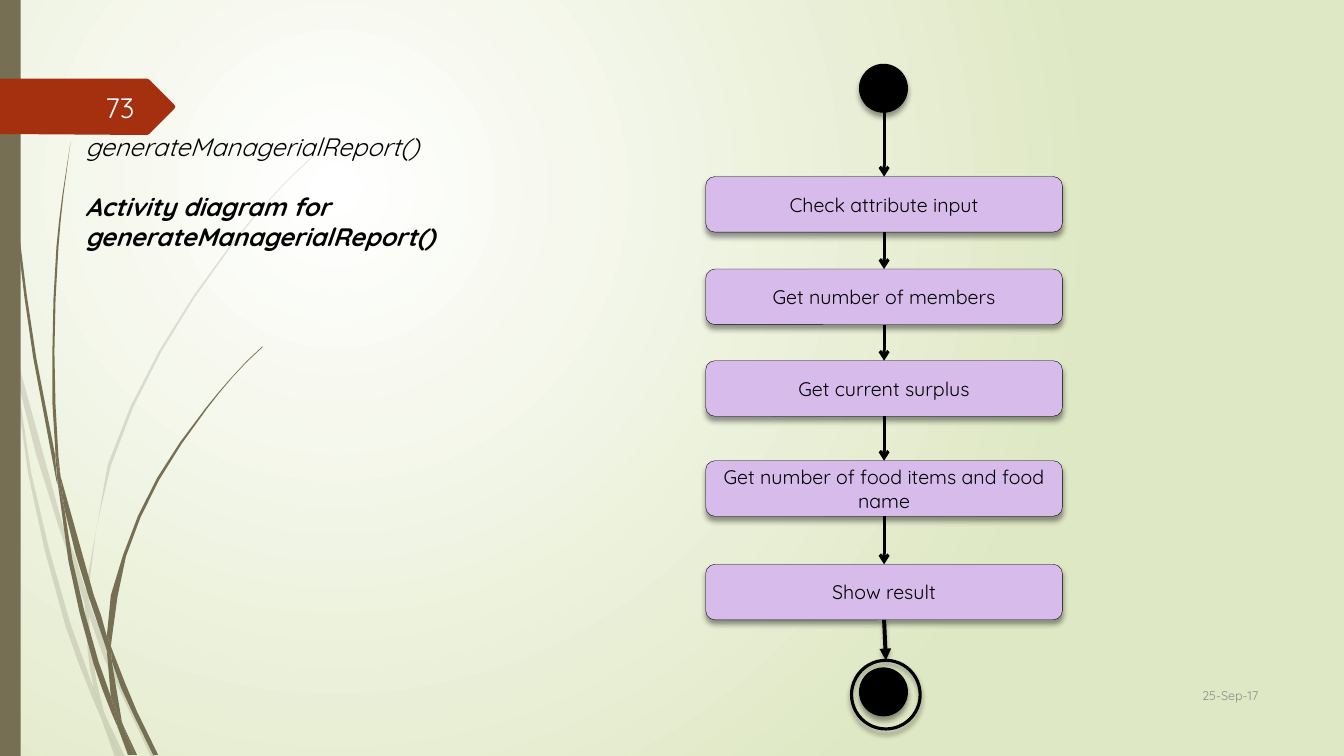
import math
from itertools import pairwise
from typing import NamedTuple

from lxml import etree
from pptx import Presentation
from pptx.dml.color import RGBColor
from pptx.enum.shapes import MSO_CONNECTOR, MSO_SHAPE
from pptx.enum.text import MSO_ANCHOR, PP_ALIGN
from pptx.oxml.ns import qn
from pptx.util import Cm, Pt

RECTANGLE = MSO_SHAPE.RECTANGLE
ACTION = MSO_SHAPE.FLOWCHART_ALTERNATE_PROCESS
CIRCLE = MSO_SHAPE.FLOWCHART_CONNECTOR
STRAIGHT = MSO_CONNECTOR.STRAIGHT
MIDDLE = MSO_ANCHOR.MIDDLE
LEFT, CENTER, RIGHT = PP_ALIGN.LEFT, PP_ALIGN.CENTER, PP_ALIGN.RIGHT

FONT = "Quicksand"
OLIVE, RED, LILAC, BLACK = "766F54", "A53010", "D6BBEB", "000000"
OUTLINE_UNIT = Cm(0.0254)
LONG_CHORD = 25
AXIS = 22.28
ACTION_WIDTH, ACTION_HEIGHT = 8.99, 1.4
DOT_SIZE, RING_SIZE = 1.19, 1.73

Point = tuple[float, float]


class Action(NamedTuple):
    text: str
    top: float


class Box(NamedTuple):
    left: float
    top: float
    width: float
    height: float


class Shadow(NamedTuple):
    alpha: int
    blur: float
    distance: float


class Wisps(NamedTuple):
    alpha: int
    outlines: list[list[Point]]


ACTIONS = [
    Action("Check attribute input", 4.45),
    Action("Get number of members", 6.78),
    Action("Get current surplus", 9.09),
    Action("Get number of food items and food name", 11.61),
    Action("Show result", 14.22),
]
START_DOT = Box(21.67, 1.63, DOT_SIZE, DOT_SIZE)
END_DOT = Box(21.67, 16.84, DOT_SIZE, DOT_SIZE)
END_RING = Box(21.46, 16.64, RING_SIZE, RING_SIZE)
NODE_SHADOW = Shadow(40, 4, 3)
ARROW_SHADOW = Shadow(25, 3, 2)

PALE_WISPS = Wisps(20, [
    [(11, 350), (9, 322), (0, 282), (0, 299), (10, 344)],
    [(58, 522), (84, 599), (85, 586), (62, 520), (14, 345), (17, 376)],
    [(92, 607), (88, 596), (88, 610), (123, 694), (150, 751), (155, 751), (127, 692)],
    [(119, 751), (124, 751), (105, 711)],
    [(93, 683), (70, 619), (31, 469), (17, 376), (11, 350), (28, 470), (65, 621),
     (92, 693), (101, 714), (99, 707)],
    [(84, 599), (87, 646), (93, 683), (96, 692), (105, 711), (103, 706), (91, 646),
     (88, 610), (88, 608)],
    [(88, 584), (110, 462), (160, 349), (229, 245), (268, 198), (290, 175), (312, 154),
     (312, 153), (289, 175), (268, 197), (228, 244), (158, 348), (107, 461), (85, 584),
     (85, 586), (88, 596)],
    [(101, 714), (114, 751), (119, 751)],
    [(88, 608), (88, 596), (85, 586), (84, 599)],
    [(96, 692), (93, 683), (99, 707), (101, 714), (119, 751), (105, 711)],
])
DARK_WISPS = Wisps(100, [
    [(7, 110), (17, 233), (33, 355), (56, 477), (57, 481), (55, 457), (55, 453),
     (36, 355), (19, 232), (8, 109), (5, 48), (4, 0), (3, 0), (4, 48)],
    [(88, 592), (106, 645), (106, 631), (93, 590), (60, 472), (64, 505)],
    [(113, 649), (110, 641), (111, 656), (132, 708), (152, 749), (157, 749), (136, 706)],
    [(110, 691), (98, 657), (72, 556), (64, 505), (57, 477), (68, 557), (93, 659),
     (111, 708), (117, 722), (116, 717)],
    [(60, 472), (58, 453), (54, 349), (58, 245), (63, 193), (70, 141), (62, 193),
     (56, 245), (52, 349), (55, 449)],
    [(133, 749), (136, 749), (122, 719)],
    [(57, 477), (64, 505), (60, 472), (55, 449), (55, 453)],
    [(111, 633), (125, 552), (158, 476), (205, 406), (231, 374), (245, 359), (261, 344),
     (260, 344), (245, 358), (231, 373), (204, 405), (156, 474), (122, 551), (106, 631),
     (110, 641)],
    [(117, 722), (127, 749), (131, 749)],
    [(106, 645), (110, 691), (116, 706), (122, 719), (121, 716), (111, 656), (109, 651)],
    [(106, 645), (109, 651), (111, 656), (110, 641), (106, 631)],
    [(116, 706), (110, 691), (116, 717), (117, 722), (130, 749), (133, 749), (122, 719)],
])
NUMBER_TAG = [(0, 78), (146, 78), (148, 79), (173, 104), (174, 106), (173, 108),
              (148, 133), (146, 134), (0, 133)]


def color(value: str) -> RGBColor:
    return RGBColor.from_string(value)


def add_xml(parent, tag: str, **attributes):
    values = {name: str(value) for name, value in attributes.items()}
    return etree.SubElement(parent, qn(tag), values)


def set_fill(shape, value: str, alpha: int = 100) -> None:
    shape.fill.solid()
    shape.fill.fore_color.rgb = color(value)
    if alpha < 100:
        add_xml(shape.element.spPr.find(f".//{qn('a:srgbClr')}"), "a:alpha", val=alpha * 1000)


def set_line(shape, width: float) -> None:
    shape.line.color.rgb = color(BLACK)
    shape.line.width = Pt(width)


def set_shadow(shape, shadow: Shadow | None) -> None:
    effects = add_xml(shape.element.spPr, "a:effectLst")
    if shadow:
        outer = add_xml(effects, "a:outerShdw", blurRad=Pt(shadow.blur),
                        dist=Pt(shadow.distance), dir=5400000, rotWithShape=0)
        black = add_xml(outer, "a:srgbClr", val=BLACK)
        add_xml(black, "a:alpha", val=shadow.alpha * 1000)


def tangent(before: Point, point: Point, after: Point) -> Point | None:
    first, second = math.dist(before, point), math.dist(point, after)
    ax, ay = (point[0] - before[0]) / first, (point[1] - before[1]) / first
    bx, by = (after[0] - point[0]) / second, (after[1] - point[1]) / second
    if min(first, second) < 5 or ax * bx + ay * by < 0.8:
        return None
    length = math.hypot(ax + bx, ay + by)
    return (ax + bx) / length, (ay + by) / length


def round_outline(points: list[Point]) -> list[Point]:
    following = points[1:] + points[:1]
    tangents = [tangent(points[i - 1], point, following[i]) for i, point in enumerate(points)]
    result = []
    for i, (start, end) in enumerate(zip(points, following)):
        result.append(start)
        leaving, arriving = tangents[i], tangents[(i + 1) % len(points)]
        chord = math.dist(start, end)
        if chord > LONG_CHORD and leaving and arriving:
            middle = [(start[k] + end[k]) / 2 + (leaving[k] - arriving[k]) * chord / 8
                      for k in (0, 1)]
            result.append((middle[0], middle[1]))
    return [(x * OUTLINE_UNIT, y * OUTLINE_UNIT) for x, y in result]


def draw_outline(slide, points: list[Point], fill: str, alpha: int = 100) -> None:
    curve = round_outline(points)
    builder = slide.shapes.build_freeform(*curve[0])
    builder.add_line_segments(curve[1:], close=True)
    shape = builder.convert_to_shape()
    set_fill(shape, fill, alpha)
    shape.line.fill.background()
    shape.shadow.inherit = False


def draw_node(slide, kind, box: Box, fill: str | None, width: float):
    shape = slide.shapes.add_shape(kind, *map(Cm, box))
    if fill:
        set_fill(shape, fill)
    else:
        shape.fill.background()
    set_line(shape, width)
    set_shadow(shape, NODE_SHADOW)
    return shape


def draw_arrow(slide, start: Point, end: Point, width: float = 2.25,
               head: str = "arrow", shadow: Shadow | None = None) -> None:
    connector = slide.shapes.add_connector(STRAIGHT, *map(Cm, start + end))
    set_line(connector, width)
    add_xml(connector.element.spPr.find(qn("a:ln")), "a:tailEnd", type=head)
    set_shadow(connector, shadow)


def format_paragraph(paragraph, text: str, size: float, value: str, alignment) -> None:
    paragraph.text = text
    paragraph.alignment = alignment
    paragraph.font.name = FONT
    paragraph.font.size = Pt(size)
    paragraph.font.color.rgb = color(value)


def add_label(slide, box: Box, text: str, size: float, value: str, alignment=RIGHT):
    frame = slide.shapes.add_textbox(*map(Cm, box)).text_frame
    frame.word_wrap = True
    format_paragraph(frame.paragraphs[0], text, size, value, alignment)
    return frame


def draw_background(slide) -> None:
    fill = slide.background.fill
    fill.gradient()
    for stop, value in zip(fill.gradient_stops, ("FFFFFF", "DFE8C4")):
        stop.color.rgb = color(value)
    gradient = slide.element.find(f".//{qn('a:gradFill')}")
    gradient.remove(gradient.find(qn("a:lin")))
    circle = add_xml(gradient, "a:path", path="circle")
    add_xml(circle, "a:fillToRect", l=50000, t=50000, r=100000, b=100000)
    for wisps in (PALE_WISPS, DARK_WISPS):
        for outline in wisps.outlines:
            draw_outline(slide, outline, OLIVE, wisps.alpha)
    band = slide.shapes.add_shape(RECTANGLE, 0, 0, Cm(0.52), Cm(19.05))
    set_fill(band, OLIVE)
    band.line.fill.background()
    band.shadow.inherit = False
    draw_outline(slide, NUMBER_TAG, RED)


def draw_labels(slide) -> None:
    date = add_label(slide, Box(28.78, 17.02, 3.18, 1.03), "25-Sep-17", 9, "8C8C8C")
    number = add_label(slide, Box(1.48, 2.18, 2.16, 1.03), "73", 20, "FEFFFF")
    date.vertical_anchor = number.vertical_anchor = MIDDLE
    title = add_label(slide, Box(1.9, 3.18, 10.16, 3.33), "generateManagerialReport()",
                      18, BLACK, LEFT)
    subtitle = title.add_paragraph()
    format_paragraph(subtitle, "Activity diagram for generateManagerialReport()", 18, BLACK, LEFT)
    subtitle.space_before = Pt(21.5)
    subtitle.font.bold = True
    for paragraph in title.paragraphs:
        paragraph.font.italic = True


def draw_activity(slide) -> None:
    draw_node(slide, CIRCLE, START_DOT, BLACK, 1.25)
    for action in ACTIONS:
        box = Box(AXIS - ACTION_WIDTH / 2, action.top, ACTION_WIDTH, ACTION_HEIGHT)
        frame = draw_node(slide, ACTION, box, LILAC, 0.25).text_frame
        frame.word_wrap = True
        frame.vertical_anchor = MIDDLE
        format_paragraph(frame.paragraphs[0], action.text, 14, BLACK, CENTER)
    draw_node(slide, CIRCLE, END_DOT, BLACK, 1.25)
    draw_node(slide, CIRCLE, END_RING, None, 2.25)
    draw_arrow(slide, (AXIS, START_DOT.top + DOT_SIZE), (AXIS, ACTIONS[0].top))
    for upper, lower in pairwise(ACTIONS):
        draw_arrow(slide, (AXIS, upper.top + ACTION_HEIGHT), (AXIS, lower.top))
    draw_arrow(slide, (AXIS, ACTIONS[-1].top + ACTION_HEIGHT),
               (END_RING.left + RING_SIZE / 2, END_RING.top), 2.8, "triangle", ARROW_SHADOW)


def main() -> None:
    presentation = Presentation()
    presentation.slide_width, presentation.slide_height = Cm(33.87), Cm(19.05)
    slide = presentation.slides.add_slide(presentation.slide_layouts[6])
    draw_background(slide)
    draw_labels(slide)
    draw_activity(slide)
    presentation.save("out.pptx")


if __name__ == "__main__":
    main()
